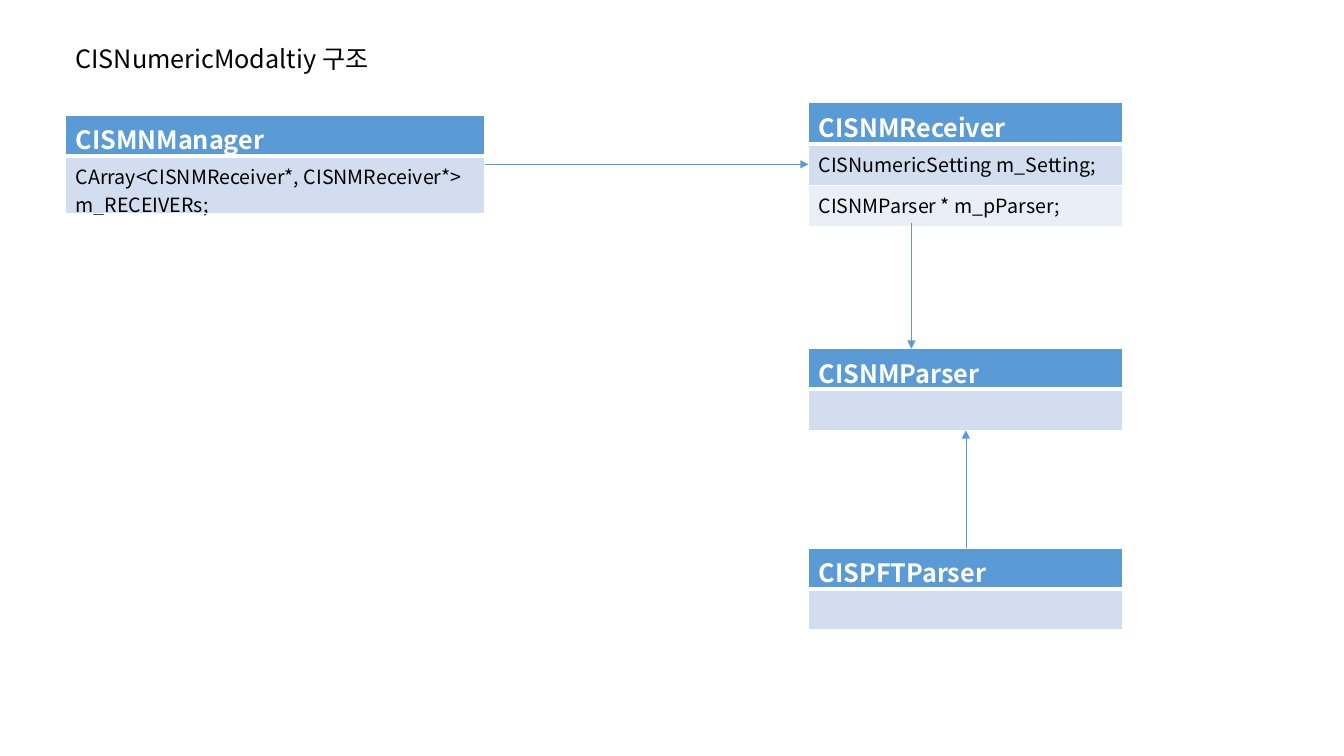
import pptx
import pptx.chart.data
import pptx.dml.color
import pptx.enum.shapes
import pptx.oxml.ns
import pptx.util
from lxml import etree

Inches = pptx.util.Inches
Pt = pptx.util.Pt
qn = pptx.oxml.ns.qn

FONT = "Noto Sans CJK KR"
COLORS = {"header": "5B9BD5", "odd": "D2DEEF", "even": "EAEFF7",
          "white": "FFFFFF", "black": "000000"}
TITLE = "CISNumericModaltiy 구조"
CLASSES = [
    (0.65, 1.14, 4.16, [0.41, 0.56],
     ["CISMNManager", "CArray<CISNMReceiver*, CISNMReceiver*> m_RECEIVERs;"]),
    (8.02, 1.02, 3.11, [0.41, 0.41, 0.41],
     ["CISNMReceiver", "CISNumericSetting m_Setting;", "CISNMParser * m_pParser;"]),
    (8.02, 3.46, 3.11, [0.4, 0.41], ["CISNMParser", ""]),
    (8.02, 5.44, 3.11, [0.4, 0.41], ["CISPFTParser", ""]),
]
ARROWS = [
    (9.58, 5.44, 9.58, 4.27),
    (9.04, 2.21, 9.04, 3.46),
    (4.81, 1.63, 8.02, 1.63),
]


def rgb(name):
    return pptx.dml.color.RGBColor.from_string(COLORS[name])


def format_text(text_frame, size, color, bold=False):
    for run in text_frame.paragraphs[0].runs:
        run.font.size = Pt(size)
        run.font.bold = bold
        run.font.color.rgb = rgb(color)
        run.font.name = FONT
        etree.SubElement(run.font._element, qn("a:ea"), typeface=FONT)


def add_borders(cell, bottom_width):
    properties = cell._tc.get_or_add_tcPr()
    widths = {"a:lnL": 1, "a:lnR": 1, "a:lnT": 1, "a:lnB": bottom_width}
    for index, (side, width) in enumerate(widths.items()):
        line = etree.Element(qn(side), w=str(Pt(width)))
        fill = etree.SubElement(line, qn("a:solidFill"))
        etree.SubElement(fill, qn("a:srgbClr"), val=COLORS["white"])
        properties.insert(index, line)


def add_class_table(slide, left, top, width, heights, texts):
    frame = slide.shapes.add_table(len(texts), 1, Inches(left), Inches(top),
                                   Inches(width), Inches(sum(heights)))
    for index, (height, text) in enumerate(zip(heights, texts)):
        frame.table.rows[index].height = Inches(height)
        cell = frame.table.cell(index, 0)
        header = index == 0
        cell.text_frame.text = text
        format_text(cell.text_frame, 18 if header else 14,
                    "white" if header else "black", header)
        cell.fill.solid()
        cell.fill.fore_color.rgb = rgb("header" if header else "odd" if index % 2 else "even")
        add_borders(cell, 3 if header else 1)


def add_arrow(slide, *ends):
    connector = slide.shapes.add_connector(
        pptx.enum.shapes.MSO_CONNECTOR.STRAIGHT, *map(Inches, ends))
    connector.line.color.rgb = rgb("header")
    connector.line.width = Pt(0.5)
    etree.SubElement(connector.line._get_or_add_ln(), qn("a:tailEnd"), type="triangle")
    etree.SubElement(connector._element.spPr, qn("a:effectLst"))


def main():
    """Build the class structure slide."""
    presentation = pptx.Presentation()
    presentation.slide_width = Inches(13.33)
    presentation.slide_height = Inches(7.5)
    slide = presentation.slides.add_slide(presentation.slide_layouts[6])

    title = slide.shapes.add_textbox(Inches(0.65), Inches(0.38), Inches(3.13), Inches(0.4))
    title.text_frame.word_wrap = True
    title.text_frame.text = TITLE
    format_text(title.text_frame, 18, "black")

    for class_table in CLASSES:
        add_class_table(slide, *class_table)
    for arrow in ARROWS:
        add_arrow(slide, *arrow)
    presentation.save("out.pptx")


if __name__ == "__main__":
    main()
